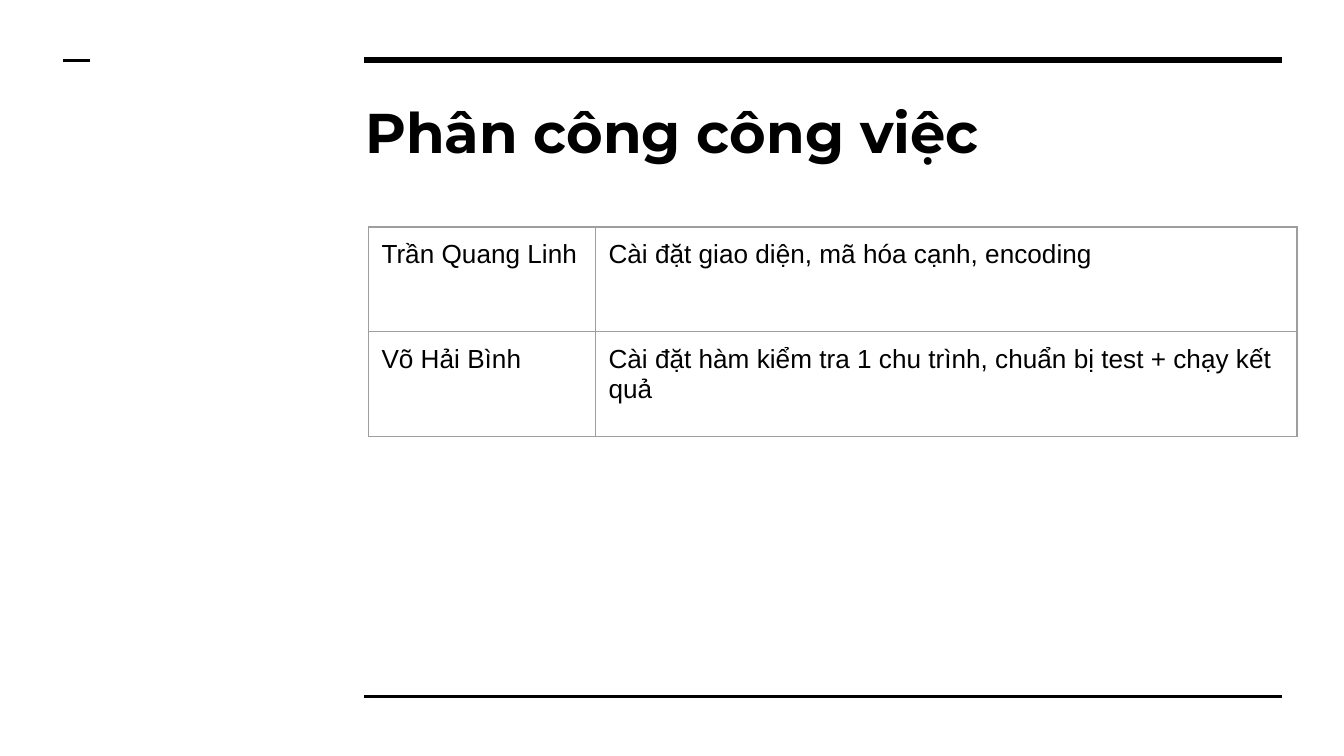
from dataclasses import dataclass

from lxml.etree import SubElement
from pptx import Presentation
from pptx.dml.color import RGBColor
from pptx.enum.shapes import MSO_CONNECTOR
from pptx.enum.text import MSO_ANCHOR, PP_ALIGN
from pptx.oxml.ns import qn
from pptx.util import Cm, Pt


@dataclass(frozen=True)
class Theme:
    ink: RGBColor = RGBColor(0x00, 0x00, 0x00)
    border: str = "9E9E9E"
    title_font: str = "Montserrat"
    body_font: str = "Arial"
    title_size: int = 30
    body_size: int = 14
    border_width: float = 0.75


theme = Theme()
MARGINS = dict.fromkeys(
    ("margin_left", "margin_right", "margin_top", "margin_bottom"), Cm(0.25)
)


def format_text(paragraph, name, size, bold):
    paragraph.alignment = PP_ALIGN.LEFT
    font_format = {"name": name, "size": Pt(size), "bold": bold}
    for attribute, value in font_format.items():
        setattr(paragraph.font, attribute, value)
    paragraph.font.color.rgb = theme.ink


def add_borders(cell):
    properties = cell._tc.get_or_add_tcPr()
    for side in ("lnL", "lnR", "lnT", "lnB"):
        line = SubElement(
            properties, qn(f"a:{side}"), w=str(Pt(theme.border_width))
        )
        fill = SubElement(line, qn("a:solidFill"))
        SubElement(fill, qn("a:srgbClr"), val=theme.border)


presentation = Presentation()
presentation.slide_width = Cm(25.4)
presentation.slide_height = Cm(14.29)
slide = presentation.slides.add_slide(presentation.slide_layouts[5])

# Rules: left, right, height on the slide, line width
rules = [
    (6.88, 24.23, 1.14, 3),
    (6.88, 24.23, 13.16, 1.5),
    (1.19, 1.7, 1.14, 1.5),
]
for left, right, y, width in rules:
    rule = slide.shapes.add_connector(
        MSO_CONNECTOR.STRAIGHT, Cm(left), Cm(y), Cm(right), Cm(y)
    )
    rule.line.color.rgb = theme.ink
    rule.line.width = Pt(width)
    SubElement(rule._element.spPr, qn("a:effectLst"))

# Title
title = slide.shapes.title
title_box = {"left": 6.65, "top": 1.6, "width": 17.55, "height": 1.75}
for attribute, value in title_box.items():
    setattr(title, attribute, Cm(value))
title_frame = title.text_frame
title_frame.text = "Phân công công việc"
title_format = {**MARGINS, "word_wrap": True, "vertical_anchor": MSO_ANCHOR.TOP}
for attribute, value in title_format.items():
    setattr(title_frame, attribute, value)
format_text(title_frame.paragraphs[0], theme.title_font, theme.title_size, True)

# Table of who does what
assignments = [
    ("Trần Quang Linh", "Cài đặt giao diện, mã hóa cạnh, encoding"),
    (
        "Võ Hải Bình",
        "Cài đặt hàm kiểm tra 1 chu trình, chuẩn bị test + chạy kết quả",
    ),
]
column_widths = (4.29, 13.26)
row_height = 1.98
table = slide.shapes.add_table(
    len(assignments), len(column_widths), Cm(6.96), Cm(4.29),
    Cm(sum(column_widths)), Cm(row_height * len(assignments)),
).table
table.first_row = False
table.horz_banding = False
for column, width in zip(table.columns, column_widths):
    column.width = Cm(width)

for row, assignment in zip(table.rows, assignments):
    row.height = Cm(row_height)
    for cell, text in zip(row.cells, assignment):
        cell.text = text
        for attribute, value in MARGINS.items():
            setattr(cell, attribute, value)
        cell.vertical_anchor = MSO_ANCHOR.TOP
        add_borders(cell)
        cell.fill.background()
        format_text(
            cell.text_frame.paragraphs[0], theme.body_font, theme.body_size, False
        )

presentation.save("out.pptx")
